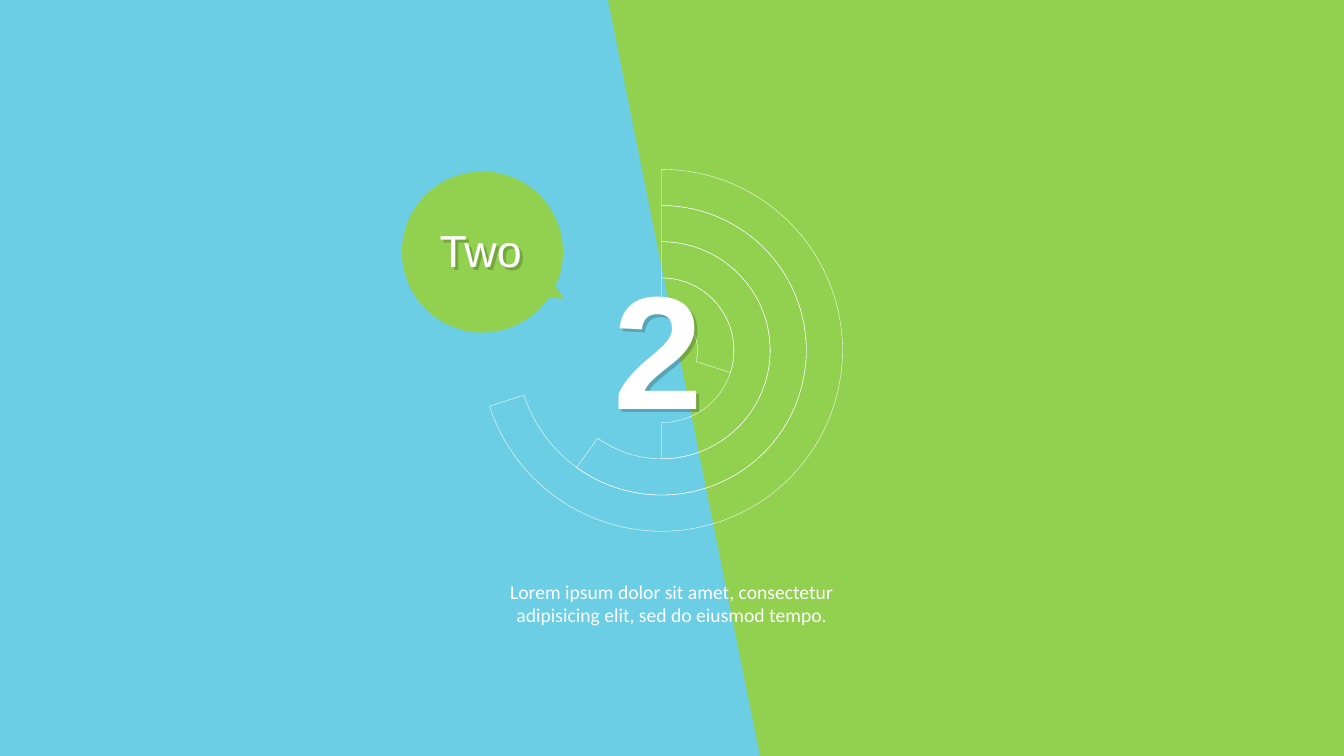
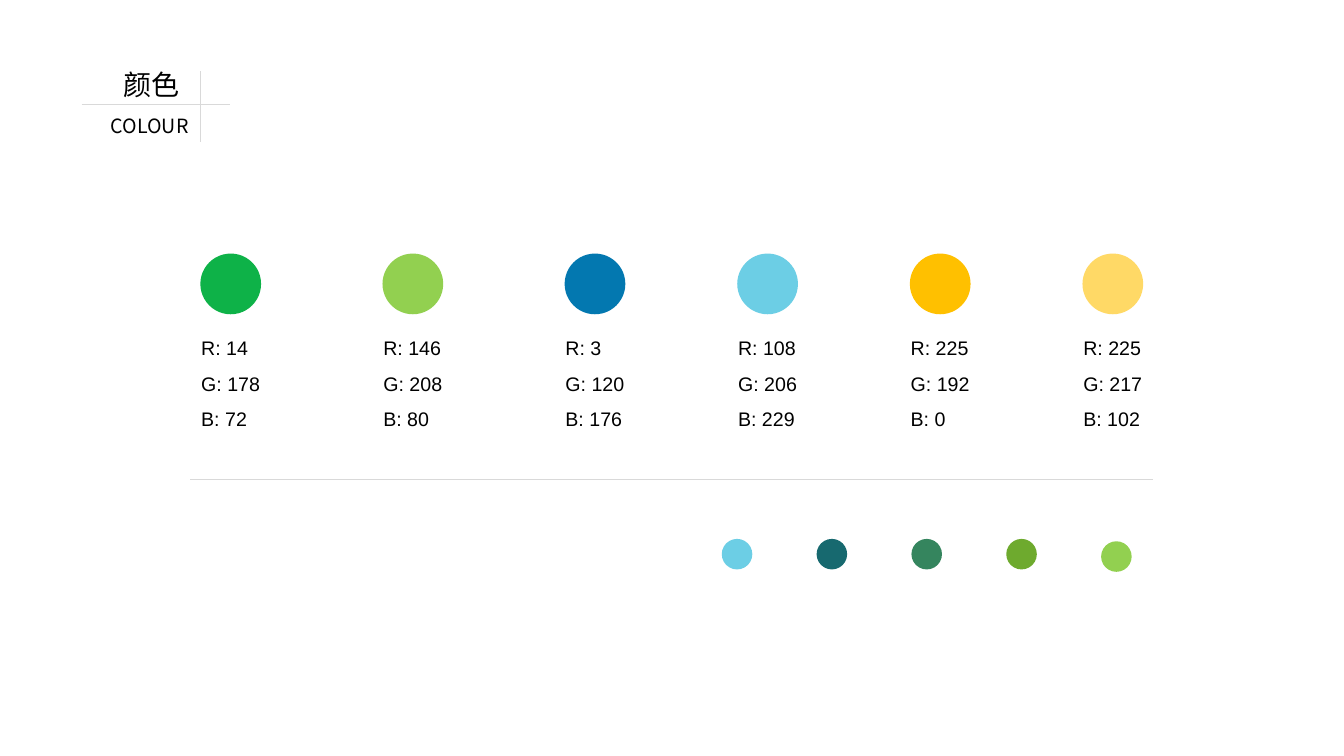
from dataclasses import dataclass
from itertools import accumulate

from lxml.etree import SubElement
from pptx import Presentation
from pptx.chart.data import CategoryChartData
from pptx.dml.color import RGBColor
from pptx.enum.chart import XL_CHART_TYPE
from pptx.enum.shapes import MSO_CONNECTOR, MSO_SHAPE
from pptx.enum.text import MSO_ANCHOR, MSO_AUTO_SIZE, PP_ALIGN
from pptx.oxml import parse_xml
from pptx.oxml.ns import nsdecls, qn
from pptx.util import Cm, Pt


@dataclass(frozen=True)
class Theme:
    """Colours, fonts and type sizes of the deck."""
    green: str = "92D050"
    sky: str = "6CCEE5"
    emerald: str = "0EB248"
    blue: str = "0378B0"
    amber: str = "FFC000"
    sand: str = "FFD966"
    teal: str = "17696F"
    jade: str = "35855E"
    leaf: str = "6EAA2E"
    rule: str = "D9D9D9"
    white: str = "FFFFFF"
    black: str = "000000"
    sans: str = "Arial"
    body: str = "Calibri"
    cjk: str = "Noto Sans CJK TC"
    numeral: int = 115
    callout: int = 32
    heading: int = 20
    text: int = 14
    chart: int = 10


T = Theme()


def rgb(code):
    """Turn a hex code into a colour."""
    return RGBColor.from_string(code)


def place(sp, x, y, w, h):
    """Move a shape to a box given in centimetres."""
    sp.left, sp.top, sp.width, sp.height = Cm(x), Cm(y), Cm(w), Cm(h)
    return sp


def write(sp, text, size=T.text, font=T.sans, color=T.black, bold=False,
          align=PP_ALIGN.LEFT, wrap=False, leading=1.0, after=0):
    """Fill a shape with one formatted paragraph per line of text."""
    tf = sp.text_frame
    tf.word_wrap = wrap
    tf.auto_size = MSO_AUTO_SIZE.SHAPE_TO_FIT_TEXT
    tf.vertical_anchor = MSO_ANCHOR.TOP
    for i, line in enumerate(text.split("\n")):
        p = tf.add_paragraph() if i else tf.paragraphs[0]
        p.alignment, p.line_spacing = align, leading
        p.space_before, p.space_after = Pt(0), Pt(after)
        r = p.add_run()
        r.text = line
        r.font.size, r.font.name, r.font.bold = Pt(size), font, bold
        r.font.color.rgb = rgb(color)
        SubElement(r.font._element, qn("a:ea"), typeface=font)
    return sp


def text_box(s, x, y, w, h, text, **fmt):
    """Add a text box with formatted text."""
    return write(s.shapes.add_textbox(Cm(x), Cm(y), Cm(w), Cm(h)), text, **fmt)


def shape(s, kind, x, y, w, h, color, turn=0):
    """Add a plain filled preset shape."""
    sp = s.shapes.add_shape(kind, Cm(x), Cm(y), Cm(w), Cm(h))
    sp.shadow.inherit = False
    sp.fill.solid()
    sp.fill.fore_color.rgb = rgb(color)
    sp.line.fill.background()
    sp.rotation = turn
    return sp


def dot(s, x, y, d, color):
    """Add a filled circle."""
    return shape(s, MSO_SHAPE.OVAL, x, y, d, d, color)


def rule(s, x1, y1, x2, y2):
    """Add a thin grey line."""
    ln = s.shapes.add_connector(MSO_CONNECTOR.STRAIGHT, Cm(x1), Cm(y1), Cm(x2), Cm(y2))
    ln.line.color.rgb = rgb(T.rule)
    ln.line.width = Pt(0.5)
    SubElement(ln._element.spPr, qn("a:effectLst"))


def drop_shadow(sp):
    """Give the text of an unfilled shape a soft shadow."""
    sp.fill.background()
    sp._element.spPr.append(parse_xml(
        f'<a:effectLst {nsdecls("a")}><a:outerShdw dist="38100" dir="2700000" algn="tl">'
        f'<a:srgbClr val="{T.black}"><a:alpha val="20000"/></a:srgbClr>'
        '</a:outerShdw></a:effectLst>'))


def new_slide(prs, color):
    """Add a title slide with a plain background."""
    s = prs.slides.add_slide(prs.slide_layouts[0])
    s.background.fill.solid()
    s.background.fill.fore_color.rgb = rgb(color)
    return s


def to_front(sp):
    """Bring a shape to the front."""
    sp.element.getparent().append(sp.element)


def ring_chart(s, x, y, w, h, shares):
    """Add a doughnut whose leading arcs are drawn in outline."""
    data = CategoryChartData()
    data.categories = ["1", "2"]
    for i, share in enumerate(shares, 1):
        data.add_series(f"Series {i}", (share, 100 - share))
    chart = s.shapes.add_chart(XL_CHART_TYPE.DOUGHNUT, Cm(x), Cm(y), Cm(w), Cm(h), data).chart
    chart.has_legend = chart.has_title = False
    chart.font.size, chart.font.name = Pt(T.chart), T.sans
    chart.font.color.rgb = rgb(T.black)
    plot = chart.plots[0]
    plot.vary_by_categories = True
    plot._element.find(qn("c:holeSize")).set("val", "54")
    for series in plot.series:
        for i in range(2):
            fmt = series.points[i].format
            fmt.fill.background()
            fmt.line.fill.background()
        arc = series.points[0].format.line
        arc.color.rgb = rgb(T.white)
        arc.width = Pt(0.25)
    area = chart._chartSpace.chart.plotArea
    for old in area.findall(qn("c:layout")):
        area.remove(old)
    frame = "".join(f'<c:{k} val="{v}"/>' for k, v in (
        ("layoutTarget", "inner"), ("xMode", "edge"), ("yMode", "edge"),
        ("x", 0.04), ("y", 0.04), ("w", 0.95), ("h", 0.93)))
    area.insert(0, parse_xml(
        f'<c:layout {nsdecls("c")}><c:manualLayout>{frame}</c:manualLayout></c:layout>'))


def callout(s, x, y, d, text):
    """Place the title in a round speech bubble."""
    dot(s, x, y, d, T.green)
    shape(s, MSO_SHAPE.ISOSCELES_TRIANGLE, x + d * 0.66, y + d / 2, 1.45, 1.57, T.green, 120)
    title = place(s.shapes.title, x + 0.69, y + 1.17, 2.59, 1.63)
    write(title, text, size=T.callout, color=T.white, align=PP_ALIGN.CENTER)
    drop_shadow(title)
    to_front(title)


def section_slide(prs, number, name, blurb):
    """Build a section divider."""
    s = new_slide(prs, T.green)
    shape(s, MSO_SHAPE.FLOWCHART_MANUAL_INPUT, 0.05, -0.05, 19.05, 19.15, T.sky, 90)
    ring_chart(s, 11.73, 3.84, 9.6, 9.88, (30, 50, 60, 70))
    sub = place(s.placeholders[1], 12.55, 14.5, 8.76, 1.37)
    write(sub, blurb, font=T.body, color=T.white, align=PP_ALIGN.CENTER, wrap=True, after=6)
    tf = sub.text_frame
    tf.margin_left = tf.margin_right = Cm(0.2)
    tf.margin_top = tf.margin_bottom = Cm(0.1)
    to_front(sub)
    drop_shadow(text_box(s, 15.16, 6.15, 2.84, 5.18, number, size=T.numeral,
                         color=T.white, bold=True, align=PP_ALIGN.CENTER))
    callout(s, 10.13, 4.32, 4.06, name)


def heading(s, x, y, title, subtitle):
    """Place the two-line heading around its crossed lines."""
    write(place(s.shapes.title, x + 0.81, y, 1.93, 1.12), title, size=T.heading, font=T.cjk)
    write(place(s.placeholders[1], x + 0.48, y + 1.17, 2.57, 0.86), subtitle, font=T.cjk)
    rule(s, x, y + 1.07, x + 3.73, y + 1.07)
    rule(s, x + 2.99, y + 0.23, x + 2.99, y + 2.01)


def swatch(s, x, y, color, values):
    """Place a colour circle above its red, green and blue values."""
    dot(s, x, y, 1.53, color)
    text = "\n".join(f"{k}: {v}" for k, v in zip("RGB", values))
    text_box(s, x - 0.23, y + 1.66, 2.01, 2.95, text, leading=1.5)


def palette_slide(prs):
    """Build the colour palette."""
    s = new_slide(prs, T.white)
    heading(s, 2.06, 1.57, "颜色", "COLOUR")
    swatches = ((T.emerald, (14, 178, 72)), (T.green, (146, 208, 80)),
                (T.blue, (3, 120, 176)), (T.sky, (108, 206, 229)),
                (T.amber, (225, 192, 0)), (T.sand, (225, 217, 102)))
    lefts = accumulate((5.05, 4.59, 4.59, 4.35, 4.35, 4.35))
    for x, (color, values) in zip(lefts, swatches):
        swatch(s, x, 6.39, color, values)
    rule(s, 4.8, 12.07, 29.06, 12.07)
    for i, color in enumerate((T.sky, T.teal, T.jade, T.leaf, T.green)):
        dot(s, 18.19 + 2.39 * i, 13.64 if color == T.green else 13.58, 0.77, color)


def main():
    """Build and save the deck."""
    prs = Presentation()
    prs.slide_width, prs.slide_height = Cm(33.87), Cm(19.05)
    section_slide(prs, "2", "Two", "Lorem ipsum dolor sit amet, consectetur "
                  "adipisicing elit, sed do eiusmod tempo.")
    palette_slide(prs)
    prs.save("out.pptx")


if __name__ == "__main__":
    main()
